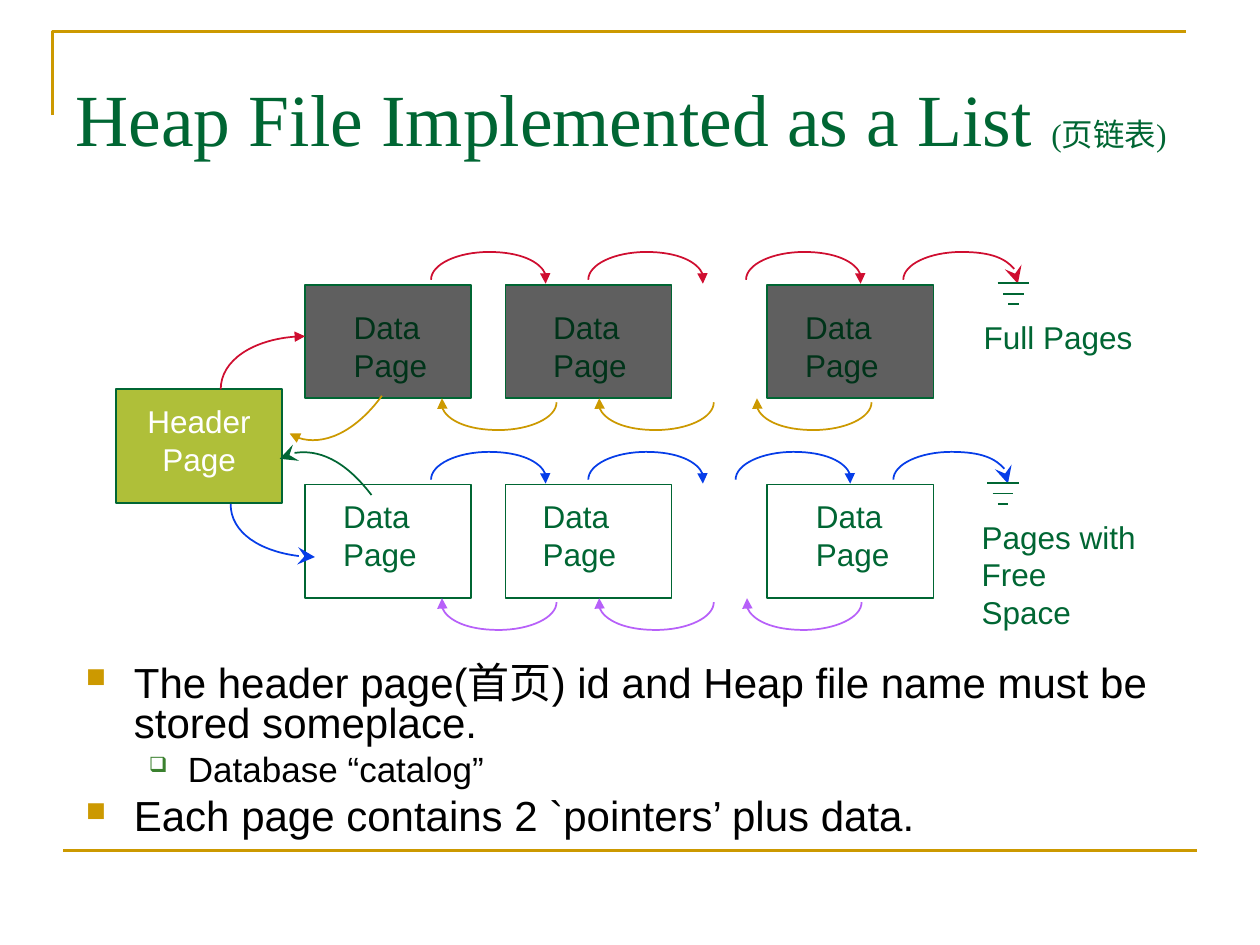
import pptx
import pptx.dml.color
import pptx.enum.shapes
import pptx.enum.text
import pptx.oxml.ns
import pptx.util
from lxml import etree

Cm = pptx.util.Cm
Pt = pptx.util.Pt
qn = pptx.oxml.ns.qn
ALIGN = pptx.enum.text.PP_ALIGN
FIT = pptx.enum.text.MSO_AUTO_SIZE

COLORS = {
    "green": "006633", "gold": "CC9900", "red": "CF0E30", "blue": "063DE8",
    "violet": "B760F9", "gray": "5F5F5F", "lime": "AFBF39", "white": "FFFFFF",
    "black": "000000", "leaf": "3B812F", "deep green": "003319",
}
ROW_STEP = 4.03  # from the full pages down to the pages with free space
PAGE_LEFTS = (6.15, 10.19, 15.47)
PAGE_WIDTH, PAGE_HEIGHT = 3.35, 2.29
ARC_WIDTH, ARC_HEIGHT = 2.33, 0.64
ARC = [(0, 0.56), (0, 0.25), (0.53, 0), (1.17, 0), (1.8, 0), (2.33, 0.25),
       (2.33, 0.56), (2.33, 0.59), (2.32, 0.61), (2.31, 0.64)]


def rgb(name):
    return pptx.dml.color.RGBColor.from_string(COLORS[name])


def add_span(para, text, size, color, font="Arial"):
    span = para.add_run()
    span.text = text
    span.font.size = Pt(size)
    span.font.name = font
    span.font.color.rgb = rgb(color)


def style_line(shape, color, width=1):
    shape.line.color.rgb = rgb(color)
    shape.line.width = Pt(width)


def add_rule(shapes, left, right, y, color, width=1):
    rule = shapes.add_connector(pptx.enum.shapes.MSO_CONNECTOR.STRAIGHT,
                                Cm(left), Cm(y), Cm(right), Cm(y))
    style_line(rule, color, width)
    etree.SubElement(rule._element.spPr, qn("a:effectLst"))


def add_outline(page, points, color, width=1):
    corners = [(Cm(x), Cm(y)) for x, y in points]
    builder = page.shapes.build_freeform(*corners[0])
    builder.add_line_segments(corners[1:], close=False)
    shape = builder.convert_to_shape()
    shape.shadow.inherit = False
    shape.fill.background()
    style_line(shape, color, width)
    return shape


def add_curve(page, points, color, arrow="triangle"):
    """Draw Bezier curves: a start, then three points for each curve."""
    shape = add_outline(page, points, color)
    outline = shape._element.spPr
    segments = list(outline.iter(qn("a:lnTo")))
    for first in range(0, len(segments), 3):
        bend = etree.Element(qn("a:cubicBezTo"))
        segments[first].addprevious(bend)
        for segment in segments[first:first + 3]:
            bend.append(segment[0])
            segment.getparent().remove(segment)
    size = "lg" if arrow == "stealth" else "med"
    etree.SubElement(outline.find(qn("a:ln")), qn("a:tailEnd"),
                     type=arrow, w=size, len=size)


def add_arc_over(page, left, top, color, arrow="triangle"):
    add_curve(page, [(left + x, top + y) for x, y in ARC], color, arrow)


def add_arc_under(page, left, top, color):
    add_curve(page, [(left + ARC_WIDTH - x, top + ARC_HEIGHT - y) for x, y in ARC],
              color)


def add_page_box(page, left, top, fill=None):
    box = page.shapes.add_shape(pptx.enum.shapes.MSO_SHAPE.RECTANGLE, Cm(left),
                                Cm(top), Cm(PAGE_WIDTH), Cm(PAGE_HEIGHT))
    box.shadow.inherit = False
    style_line(box, "green")
    if fill:
        box.fill.solid()
        box.fill.fore_color.rgb = rgb(fill)
    else:
        box.fill.background()


def add_label(page, left, top, width, lines, color="green", align=ALIGN.LEFT):
    box = page.shapes.add_textbox(Cm(left), Cm(top), Cm(width),
                                  Cm(0.25 + 0.76 * len(lines)))
    frame = box.text_frame
    frame.word_wrap = False
    frame.auto_size = FIT.SHAPE_TO_FIT_TEXT
    for index, line in enumerate(lines):
        para = frame.add_paragraph() if index else frame.paragraphs[0]
        para.alignment = align
        add_span(para, line, 18, color)


def add_ground(page, center, top):
    for index, width in enumerate((0.64, 0.42, 0.21)):
        add_rule(page.shapes, center - width / 2, center + width / 2,
                 top + 0.21 * index, "green")


def format_title(page):
    title = page.shapes.title
    title.left, title.top = Cm(1.27), Cm(0.78)
    title.width, title.height = Cm(22.86), Cm(3.18)
    frame = title.text_frame
    frame.auto_size = FIT.NONE
    frame.vertical_anchor = pptx.enum.text.MSO_ANCHOR.MIDDLE
    para = frame.paragraphs[0]
    para.alignment = ALIGN.LEFT
    add_span(para, "Heap File Implemented as a List ", 42, "green", "Times New Roman")
    add_span(para, "(页链表)", 18, "green", "Times New Roman")


def add_bullet(para, text, sub=False):
    indent, hang, size, mark, color, percent = (
        (2.06, 0.79, 20, "❑", "leaf", 60) if sub
        else (0.97, 0.97, 24, "■", "gold", 65))
    props = para._p.get_or_add_pPr()
    props.set("marL", str(Cm(indent)))
    props.set("indent", str(-Cm(hang)))
    tint = etree.SubElement(props, qn("a:buClr"))
    etree.SubElement(tint, qn("a:srgbClr"), val=COLORS[color])
    etree.SubElement(props, qn("a:buSzPct"), val=str(percent * 1000))
    etree.SubElement(props, qn("a:buChar"), char=mark)
    para.level = int(sub)
    para.line_spacing = 0.8
    add_span(para, text, size, "black")


def add_body(page):
    box = page.shapes.add_textbox(Cm(1.48), Cm(13.3), Cm(22.61), Cm(3.84))
    frame = box.text_frame
    frame.word_wrap = True
    add_bullet(frame.paragraphs[0], "The header page(首页) id and Heap file name "
               "must be stored someplace.")
    detail = frame.add_paragraph()
    add_bullet(detail, "Database “catalog”", sub=True)
    detail.space_before = Pt(5)
    closing = frame.add_paragraph()
    add_bullet(closing, "Each page contains 2 `pointers’ plus data.")
    closing.space_before = Pt(6)


def add_page_list(page, row, fill, ink, label_lefts, label_top, over, over_lefts,
                  under, under_lefts, ground):
    """Draw one doubly linked list of data pages, ending in a ground sign."""
    shift = row * ROW_STEP
    for left in PAGE_LEFTS:
        add_page_box(page, left, 5.74 + shift, fill)
    for left in label_lefts:
        add_label(page, left, label_top, 2.01, ("Data", "Page"), ink)
    for left in over_lefts:
        arrow = "stealth" if left == over_lefts[-1] else "triangle"
        add_arc_over(page, left, 5.08 + shift, over, arrow)
    for left in under_lefts:
        add_arc_under(page, left, 8.03 + shift, under)
    add_ground(page, ground, 5.71 + shift)


def main():
    deck = pptx.Presentation()
    deck.slide_width, deck.slide_height = Cm(25.4), Cm(19.05)
    page = deck.slides.add_slide(deck.slide_layouts[5])

    # Frame lines, title and bullets
    add_outline(page, [(1.06, 2.32), (1.06, 0.63), (23.91, 0.63)], "gold", 1.5)
    add_rule(page.shapes, 1.27, 24.13, 17.15, "gold", 1.5)
    format_title(page)
    add_body(page)

    # The two page lists
    add_page_list(page, 0, "gray", "deep green", (6.88, 10.9, 15.98), 6.09,
                  "red", (8.69, 11.86, 15.04, 18.21),
                  "gold", (8.89, 12.06, 15.24), 20.43)
    add_page_list(page, 1, None, "green", (6.67, 10.69, 16.2), 9.9,
                  "blue", (8.69, 11.86, 14.83, 18.01),
                  "violet", (8.89, 12.06, 15.04), 20.22)
    add_label(page, 19.58, 6.29, 3.51, ("Full Pages",))
    add_label(page, 19.54, 10.31, 3.78, ("Pages with", "Free Space"))

    # Header page and its links to both lists
    add_page_box(page, 2.34, 7.85, "lime")
    add_label(page, 2.72, 7.98, 2.59, ("Header", "Page"), "white", ALIGN.CENTER)
    add_curve(page, [(4.45, 7.85), (4.45, 7.26), (5.21, 6.78), (6.15, 6.78)], "red")
    add_curve(page, [(7.7, 7.98), (7.14, 8.74), (6.32, 9.07), (5.84, 8.74)], "gold")
    add_curve(page, [(7.49, 9.98), (6.93, 9.25), (6.1, 8.92), (5.64, 9.25)],
              "green", "stealth")
    add_curve(page, [(4.65, 10.16), (4.65, 10.74), (5.41, 11.23), (6.35, 11.23)],
              "blue", "stealth")

    deck.save("out.pptx")


if __name__ == "__main__":
    main()
